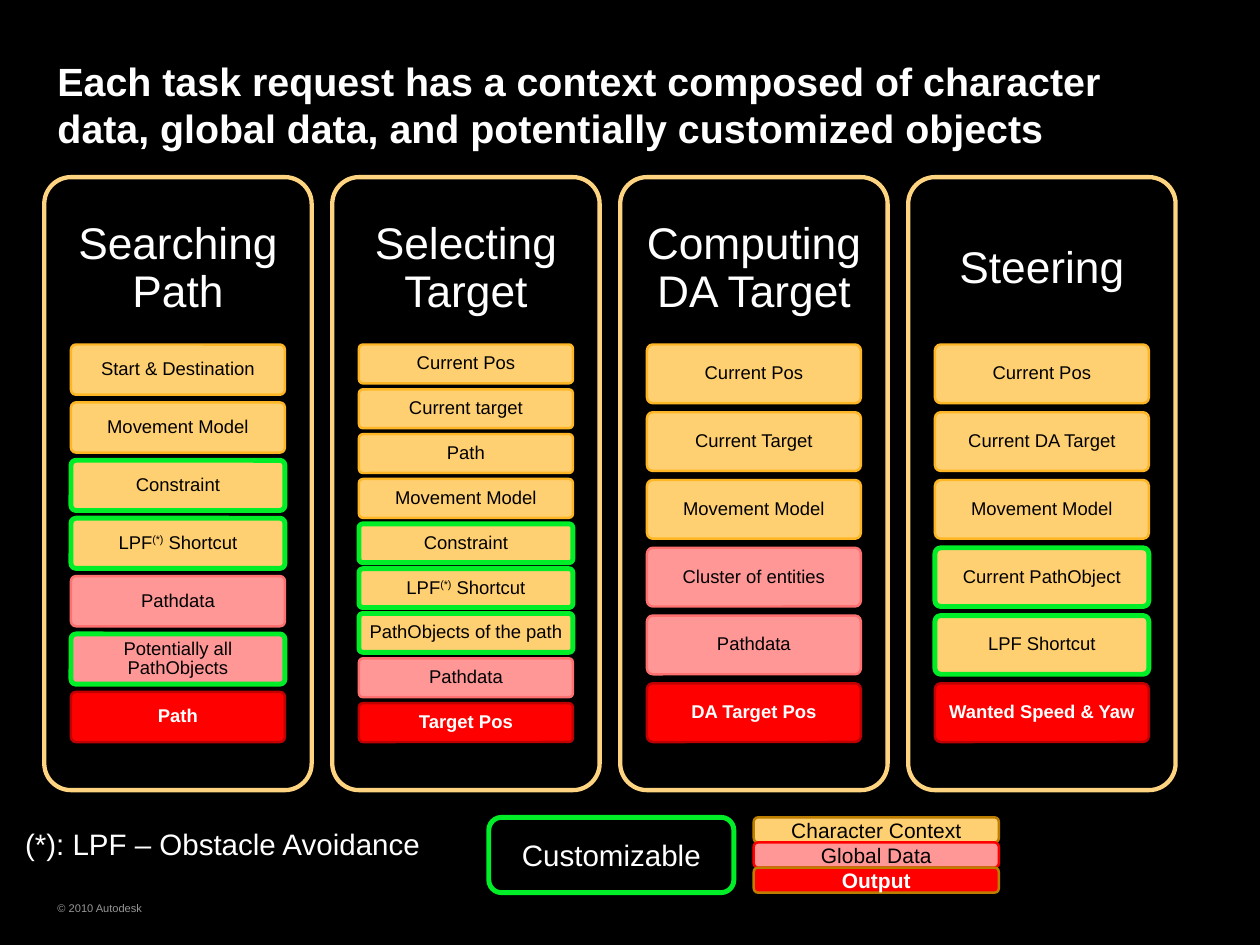
from pptx import Presentation
from pptx.dml.color import RGBColor
from pptx.enum.shapes import MSO_SHAPE as Shape
from pptx.enum.text import MSO_ANCHOR as Anchor, PP_ALIGN as Align
from pptx.util import Cm, Pt

COLORS = {
    "background": "000000", "white": "FFFFFF", "black": "000000",
    "panel": "FFD480", "custom": "00EE28", "copyright": "969696",
    "character": "FFD071", "character_edge": "FFB625",
    "global": "FF9797", "global_edge": "FF7171",
    "output": "FF0000", "output_edge": "C00000", "legend_edge": "BD7E00",
}

# Each item: text, kind of data, customizable or not
TASKS = [
    ("Searching Path", [
        ("Start & Destination", "character", False),
        ("Movement Model", "character", False),
        ("Constraint", "character", True),
        ("LPF^(*)^ Shortcut", "character", True),
        ("Pathdata", "global", False),
        ("Potentially all PathObjects", "global", True),
        ("Path", "output", False),
    ]),
    ("Selecting Target", [
        ("Current Pos", "character", False),
        ("Current target", "character", False),
        ("Path", "character", False),
        ("Movement Model", "character", False),
        ("Constraint", "character", True),
        ("LPF^(*)^ Shortcut", "character", True),
        ("PathObjects of the path", "character", True),
        ("Pathdata", "global", False),
        ("Target Pos", "output", False),
    ]),
    ("Computing DA Target", [
        ("Current Pos", "character", False),
        ("Current Target", "character", False),
        ("Movement Model", "character", False),
        ("Cluster of entities", "global", False),
        ("Pathdata", "global", False),
        ("DA Target Pos", "output", False),
    ]),
    ("Steering", [
        ("Current Pos", "character", False),
        ("Current DA Target", "character", False),
        ("Movement Model", "character", False),
        ("Current PathObject", "character", True),
        ("LPF Shortcut", "character", True),
        ("Wanted Speed & Yaw", "output", False),
    ]),
]
LEGEND = [
    ("Character Context", "character", "legend_edge"),
    ("Global Data", "global", "output"),
    ("Output", "output", "legend_edge"),
]


def rgb(name):
    return RGBColor.from_string(COLORS[name])


def write(holder, text, size, color="white", bold=False, align=Align.CENTER,
          anchor=Anchor.MIDDLE, margins=(0, 0), spacing=None):
    """Fill a shape with one paragraph; parts between ^ signs are superscript."""
    frame = holder.text_frame
    frame.word_wrap = True
    frame.vertical_anchor = anchor
    frame.margin_left = frame.margin_right = Cm(margins[0])
    frame.margin_top = frame.margin_bottom = Cm(margins[1])
    paragraph = frame.paragraphs[0]
    paragraph.alignment = align
    if spacing:
        paragraph.line_spacing = spacing
    font = paragraph.font
    font.name, font.size, font.bold = "Arial", Pt(size), bold
    font.color.rgb = rgb(color)
    for index, part in enumerate(text.split("^")):
        run = paragraph.add_run()
        run.text = part
        if index % 2:
            run._r.get_or_add_rPr().set("baseline", "30000")


def add_label(slide, box, text, size, **style):
    write(slide.shapes.add_textbox(*map(Cm, box)), text, size, **style)


def add_card(slide, box, edge, width, fill=None, corner=0.1):
    card = slide.shapes.add_shape(Shape.ROUNDED_RECTANGLE, *map(Cm, box))
    card.shadow.inherit = False
    card.adjustments[0] = corner
    card.line.color.rgb = rgb(edge)
    card.line.width = Pt(width)
    if fill:
        card.fill.solid()
        card.fill.fore_color.rgb = rgb(fill)
    else:
        card.fill.background()
    return card


def text_style(kind):
    is_output = kind == "output"
    return {"color": "white" if is_output else "black", "bold": is_output}


def add_task(slide, box, heading, items):
    """One panel with a heading and an evenly spaced stack of items."""
    left, top, width, height = box
    add_card(slide, box, "panel", 3.5)
    add_label(slide, (left, top, width, 0.3 * height), heading, 36,
              margins=(0.38, 0.38), spacing=0.9)

    stack_top, stack_height, gap_ratio = top + 4.8, 11.4, 0.154
    item_height = stack_height / (len(items) + (len(items) - 1) * gap_ratio)
    for row, (text, kind, customizable) in enumerate(items):
        item_top = stack_top + row * item_height * (1 + gap_ratio)
        item_box = (left + 0.1 * width, item_top, 0.8 * width, item_height)
        edge, line = ("custom", 4) if customizable else (f"{kind}_edge", 2)
        card = add_card(slide, item_box, edge, line, kind)
        write(card, text, 15, margins=(0.1, 0.08), spacing=0.9,
              **text_style(kind))


def add_legend(slide, box):
    """Customizable frame on the left, data kinds stacked on the right."""
    left, top, width, height = box
    key_width = 7.03
    frame = add_card(slide, (left, top, key_width, height), "custom", 4,
                     corner=0.17)
    write(frame, "Customizable", 24, margins=(0.36, 0.18))
    key_height = height / len(LEGEND)
    for row, (text, kind, edge) in enumerate(LEGEND):
        key_box = (left + width - key_width, top + row * key_height,
                   key_width, key_height)
        key = add_card(slide, key_box, edge, 2, kind, corner=0.17)
        write(key, text, 17, margins=(0.36, 0), **text_style(kind))


def add_context_slide(deck):
    slide = deck.slides.add_slide(deck.slide_layouts[6])
    slide.background.fill.solid()
    slide.background.fill.fore_color.rgb = rgb("background")

    # Title
    add_label(slide, (1.65, 1.02, 32.66, 3.94),
              "Each task request has a context composed of character data, "
              "global data, and potentially customized objects",
              32, bold=True, align=Align.LEFT)

    # Task panels
    for column, (heading, items) in enumerate(TASKS):
        add_task(slide, (1.27 + column * 8.26, 5.08, 7.67, 17.58),
                 heading, items)

    # Legend and footnotes
    add_legend(slide, (14.02, 23.44, 14.63, 2.16))
    add_label(slide, (0.36, 23.5, 13.69, 1.4), "(*): LPF – Obstacle Avoidance",
              24, align=Align.LEFT, anchor=Anchor.TOP, margins=(0.36, 0.18))
    add_label(slide, (1.65, 25.76, 8.05, 0.56), "© 2010 Autodesk", 9,
              color="copyright", align=Align.LEFT)


def main():
    deck = Presentation()
    deck.slide_width, deck.slide_height = Cm(36.14), Cm(27.1)
    add_context_slide(deck)
    deck.save("out.pptx")


if __name__ == "__main__":
    main()
